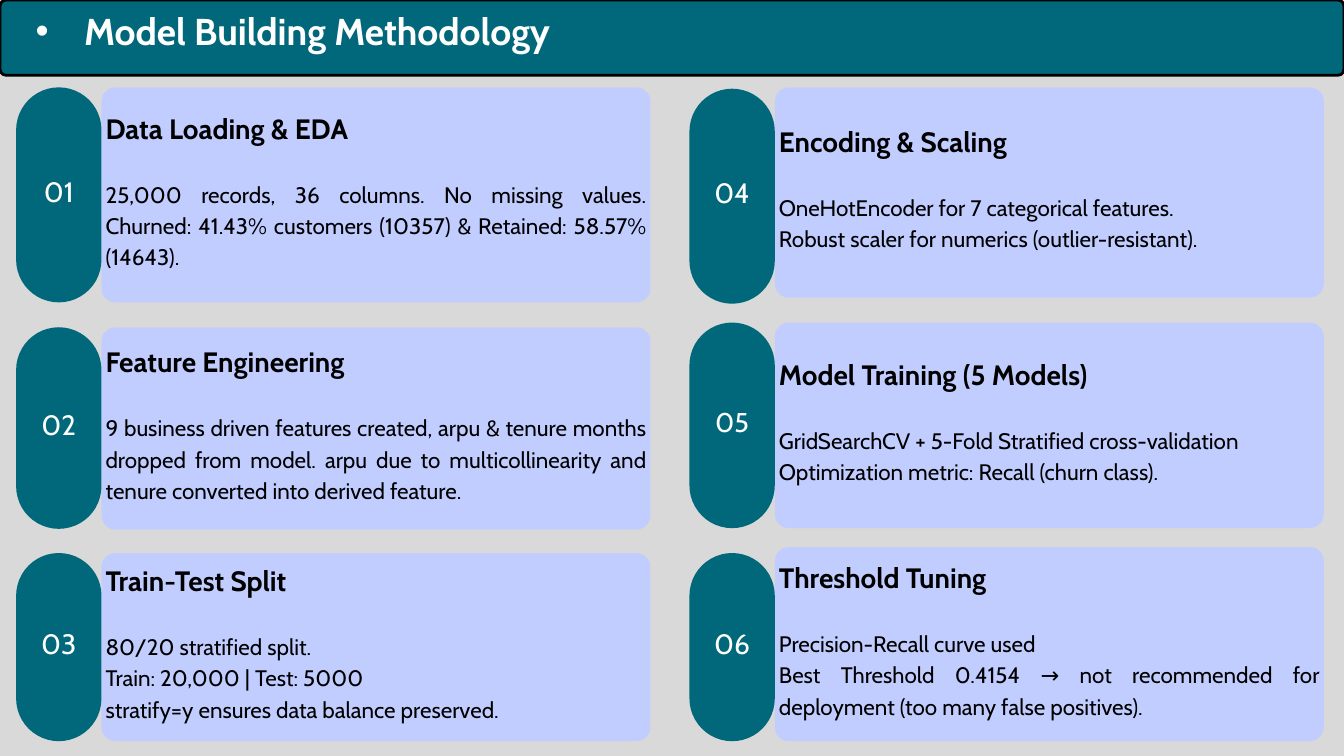
from dataclasses import dataclass

import pptx
import pptx.dml.color
import pptx.enum.shapes
import pptx.enum.text
import pptx.oxml
import pptx.oxml.ns
import pptx.util
from pptx.util import Inches, Pt

Align = pptx.enum.text.PP_ALIGN
Preset = pptx.enum.shapes.MSO_SHAPE


@dataclass(frozen=True)
class Theme:
    font: str = "Cabin"
    background: str = "D9D9D9"
    teal: str = "00687A"
    lavender: str = "C2CDFF"
    black: str = "000000"
    white: str = "FFFFFF"
    title_size: float = 40
    heading_size: float = 30
    body_size: float = 24
    leading: float = 1.4


@dataclass(frozen=True)
class Span:
    top: float
    height: float


@dataclass(frozen=True)
class Step:
    heading: str
    details: tuple[str, ...]
    card: Span
    pill: Span
    number_size: float = 30


THEME = Theme()
COLUMN_LEFTS = (0.24, 10.26)
ROWS = 3
PILL_WIDTH, CARD_WIDTH = 1.27, 8.17
CARD_RADIUS, BAR_RADIUS = 0.21, 0.09
TEXT_LIFT = 0.2
BAR_HEIGHT = 1.12

STEPS = (
    Step("Data Loading & EDA",
         ("25,000 records, 36 columns. No missing values. Churned: 41.43% customers "
          "(10357) & Retained: 58.57% (14643).",),
         Span(1.3, 3.2), Span(1.3, 3.2)),
    Step("Feature Engineering",
         ("9 business driven features created, arpu & tenure months dropped from model. "
          "arpu due to multicollinearity and tenure converted into derived feature.",),
         Span(4.87, 3.01), Span(4.87, 3)),
    Step("Train-Test Split",
         ("80/20 stratified split.", "Train: 20,000 | Test: 5000",
          "stratify=y ensures data balance preserved."),
         Span(8.23, 2.8), Span(8.23, 2.8)),
    Step("Encoding & Scaling",
         ("OneHotEncoder for 7 categorical features.",
          "Robust scaler for numerics (outlier-resistant)."),
         Span(1.3, 3.13), Span(1.32, 3.2)),
    Step("Model Training (5 Models)",
         ("GridSearchCV + 5-Fold Stratified cross-validation",
          "Optimization metric: Recall (churn class)."),
         Span(4.8, 3.06), Span(4.8, 3.06), number_size=29),
    Step("Threshold Tuning",
         ("Precision-Recall curve used",
          "Best Threshold 0.4154 → not recommended for deployment "
          "(too many false positives)."),
         Span(8.14, 2.89), Span(8.23, 2.8)),
)


def rgb(value: str) -> pptx.dml.color.RGBColor:
    return pptx.dml.color.RGBColor.from_string(value)


def add_rounded(slide, left: float, span: Span, width: float, radius: float, fill: str):
    shape = slide.shapes.add_shape(Preset.ROUNDED_RECTANGLE, Inches(left),
                                   Inches(span.top), Inches(width), Inches(span.height))
    shape.adjustments[0] = radius / min(width, span.height)
    shape.shadow.inherit = False
    shape.fill.solid()
    shape.fill.fore_color.rgb = rgb(fill)
    shape.line.fill.background()
    return shape


def prepare_frame(frame, lift: float = 0) -> None:
    """Centre the text vertically, moved up by half of lift."""
    frame.word_wrap = True
    frame.auto_size = pptx.enum.text.MSO_AUTO_SIZE.NONE
    frame.vertical_anchor = pptx.enum.text.MSO_ANCHOR.MIDDLE
    frame.margin_left = frame.margin_right = frame.margin_top = 0
    frame.margin_bottom = Inches(lift)


def write(paragraph, text: str, size: float, color: str, align: Align,
          bold: bool = False) -> None:
    paragraph.alignment = align
    paragraph.line_spacing = Pt(size * THEME.leading)
    run = paragraph.add_run()
    run.text = text
    run.font.name = THEME.font
    run.font.size = Pt(size)
    run.font.bold = bold
    run.font.color.rgb = rgb(color)


def add_bullet(paragraph, margin: float, indent: float) -> None:
    properties = paragraph._p.get_or_add_pPr()
    properties.set("marL", str(Inches(margin)))
    properties.set("indent", str(Inches(indent)))
    namespace = pptx.oxml.ns.nsdecls("a")
    for tag in ('a:buFont {} typeface="Arial"', 'a:buChar {} char="•"'):
        properties.append(pptx.oxml.parse_xml(f"<{tag.format(namespace)}/>"))


def add_title_bar(slide, text: str) -> None:
    bar = add_rounded(slide, 0, Span(0, BAR_HEIGHT), 20, BAR_RADIUS, THEME.teal)
    bar.line.color.rgb = rgb(THEME.black)
    bar.line.width = Pt(3)

    title = slide.shapes.title
    title.element.addprevious(bar.element)
    title.left, title.top = Inches(0), Inches(0)
    title.width, title.height = Inches(20), Inches(0.8)
    prepare_frame(title.text_frame)
    heading = title.text_frame.paragraphs[0]
    add_bullet(heading, 1.25, -0.72)
    write(heading, text, THEME.title_size, THEME.white, Align.LEFT, bold=True)


def add_card(slide, left: float, step: Step) -> None:
    card = add_rounded(slide, left, step.card, CARD_WIDTH, CARD_RADIUS, THEME.lavender)
    frame = card.text_frame
    prepare_frame(frame, TEXT_LIFT)
    write(frame.paragraphs[0], step.heading, THEME.heading_size, THEME.black,
          Align.JUSTIFY, bold=True)
    for position, detail in enumerate(step.details):
        paragraph = frame.add_paragraph()
        if position == 0:
            paragraph.space_before = Pt(THEME.body_size * THEME.leading)
        write(paragraph, detail, THEME.body_size, THEME.black, Align.JUSTIFY)


def add_pill(slide, left: float, number: int, step: Step) -> None:
    pill = add_rounded(slide, left, step.pill, PILL_WIDTH, PILL_WIDTH / 2, THEME.teal)
    prepare_frame(pill.text_frame, TEXT_LIFT)
    write(pill.text_frame.paragraphs[0], f"{number:02}", step.number_size,
          THEME.white, Align.CENTER)


def main() -> None:
    deck = pptx.Presentation()
    deck.slide_width, deck.slide_height = Inches(20), Inches(11.25)
    slide = deck.slides.add_slide(deck.slide_layouts.get_by_name("Title Only"))
    slide.background.fill.solid()
    slide.background.fill.fore_color.rgb = rgb(THEME.background)

    add_title_bar(slide, "Model Building Methodology")
    for index, step in enumerate(STEPS):
        left = COLUMN_LEFTS[index // ROWS]
        add_card(slide, left + PILL_WIDTH, step)
        add_pill(slide, left, index + 1, step)
    deck.save("out.pptx")


if __name__ == "__main__":
    main()
